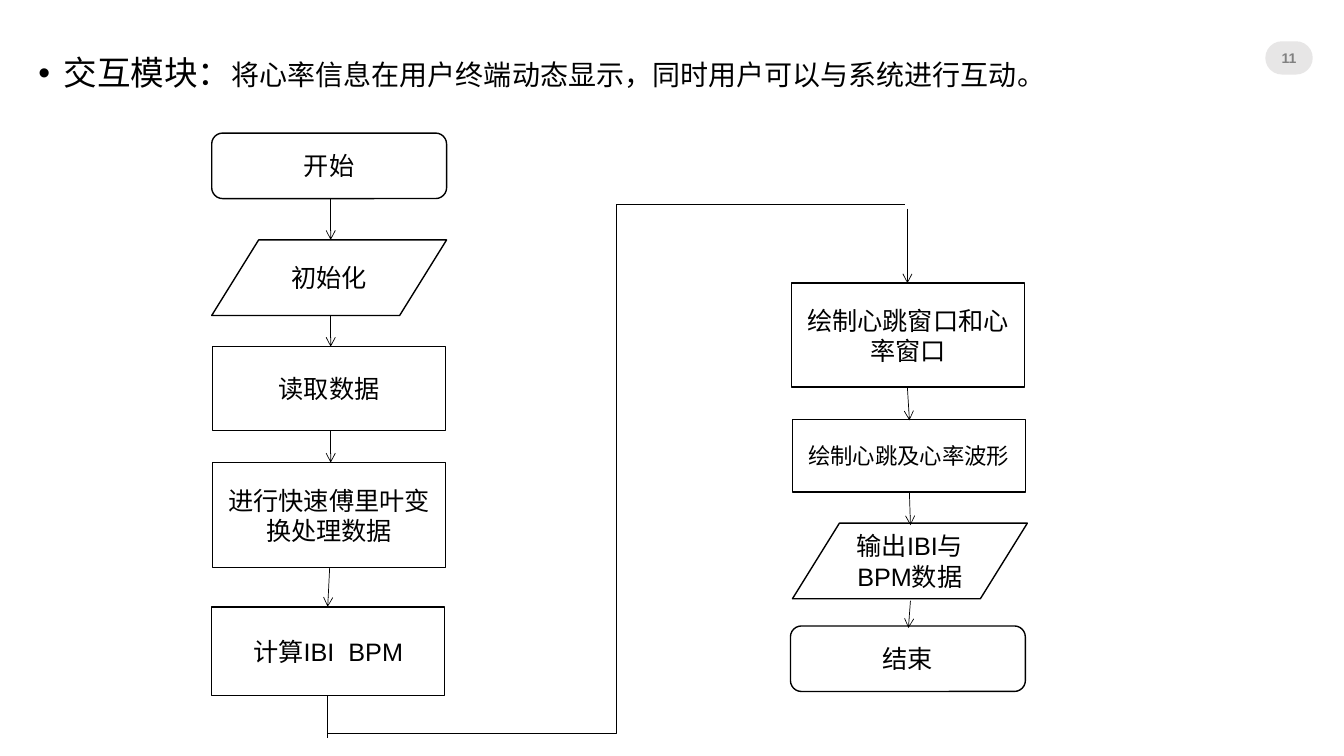
from dataclasses import dataclass

from lxml import etree
from pptx import Presentation
from pptx.dml.color import RGBColor
from pptx.enum.shapes import MSO_CONNECTOR, MSO_SHAPE
from pptx.enum.text import MSO_ANCHOR, MSO_AUTO_SIZE, PP_ALIGN
from pptx.oxml.ns import qn
from pptx.util import Inches, Pt

BLACK = RGBColor(0x00, 0x00, 0x00)
WHITE = RGBColor(0xFF, 0xFF, 0xFF)
GRAY = RGBColor(0x80, 0x80, 0x80)
PALE = RGBColor(0xE7, 0xE6, 0xE6)

ROUND = MSO_SHAPE.ROUNDED_RECTANGLE
RECT = MSO_SHAPE.RECTANGLE
PROCESS = MSO_SHAPE.FLOWCHART_PROCESS
DATA = MSO_SHAPE.FLOWCHART_DATA
STRAIGHT = MSO_CONNECTOR.STRAIGHT
ELBOW = MSO_CONNECTOR.ELBOW
CENTER = PP_ALIGN.CENTER
MIDDLE = MSO_ANCHOR.MIDDLE


@dataclass
class Step:
    text: str
    kind: int
    left: float
    top: float
    width: float
    height: float
    size: int = 18


@dataclass
class Link:
    x1: float
    y1: float
    x2: float
    y2: float
    kind: int = STRAIGHT
    arrow: bool = True


STEPS = [
    Step("开始", ROUND, 2.1, 1.32, 2.33, 0.65),
    Step("初始化", DATA, 2.1, 2.38, 2.33, 0.75),
    Step("读取数据", RECT, 2.11, 3.44, 2.31, 0.83),
    Step("进行快速傅里叶变换处理数据", RECT, 2.11, 4.59, 2.31, 1.04),
    Step("计算IBI  BPM", PROCESS, 2.1, 6.02, 2.31, 0.88),
    Step("绘制心跳窗口和心率窗口", RECT, 7.85, 2.81, 2.31, 1.03),
    Step("绘制心跳及心率波形", RECT, 7.86, 4.16, 2.31, 0.72, 16),
    Step("输出IBI与BPM数据", DATA, 7.86, 5.19, 2.33, 0.75),
    Step("结束", ROUND, 7.84, 6.21, 2.33, 0.65),
]

LINKS = [
    Link(3.28, 1.97, 3.28, 2.38),
    Link(3.28, 3.13, 3.28, 3.44),
    Link(3.28, 4.27, 3.28, 4.59),
    Link(3.27, 5.63, 3.25, 6.02),
    Link(9, 3.85, 9.02, 4.17),
    Link(9.02, 4.89, 9.03, 5.21),
    Link(9.03, 5.96, 9.01, 6.23),
    Link(3.25, 6.9, 3.25, 7.32, arrow=False),
    Link(3.25, 7.28, 8.98, 2.03, ELBOW, arrow=False),
    Link(9, 2.07, 9, 2.81),
]


def apply(target, **formats) -> None:
    """Set each given format value as an attribute of the target."""
    for name, value in formats.items():
        setattr(target, name, value)


def add_run(p, text: str, size: float, color: RGBColor = BLACK, bold: bool = False) -> None:
    r = p.add_run()
    r.text = text
    apply(r.font, name="Arial", size=Pt(size), bold=bold)
    r.font.color.rgb = color


def add_box(slide, step: Step, fill: RGBColor):
    sp = slide.shapes.add_shape(
        step.kind, *map(Inches, (step.left, step.top, step.width, step.height)))
    sp.shadow.inherit = False
    sp.fill.solid()
    sp.fill.fore_color.rgb = fill
    apply(sp.text_frame, word_wrap=True, vertical_anchor=MIDDLE)
    sp.text_frame.paragraphs[0].alignment = CENTER
    return sp


def add_step(slide, step: Step) -> None:
    sp = add_box(slide, step, WHITE)
    sp.line.color.rgb = BLACK
    sp.line.width = Pt(1)
    add_run(sp.text_frame.paragraphs[0], step.text, step.size)


def add_link(slide, link: Link) -> None:
    cx = slide.shapes.add_connector(
        link.kind, *map(Inches, (link.x1, link.y1, link.x2, link.y2)))
    cx.line.color.rgb = BLACK
    cx.line.width = Pt(0.5)
    sp_pr = cx._element.spPr
    if link.arrow:
        etree.SubElement(sp_pr.find(qn("a:ln")), qn("a:tailEnd"), type="arrow")
    etree.SubElement(sp_pr, qn("a:effectLst"))


def add_page_number(slide, number: str) -> None:
    sp = add_box(slide, Step(number, ROUND, 12.55, 0.41, 0.47, 0.33), PALE)
    sp.adjustments[0] = 0.5
    sp.line.fill.background()
    tf = sp.text_frame
    apply(tf, margin_left=0, margin_right=0, margin_top=0, margin_bottom=0)
    add_run(tf.paragraphs[0], number, 10, GRAY, bold=True)


def add_heading(slide) -> None:
    """Fill the body placeholder with the bulleted module summary."""
    body = slide.placeholders[1]
    apply(body, left=Inches(0.28), top=Inches(0.51),
          width=Inches(11.33), height=Inches(0.46))
    tf = body.text_frame
    apply(tf, word_wrap=True, auto_size=MSO_AUTO_SIZE.NONE,
          vertical_anchor=MSO_ANCHOR.TOP)
    p = tf.paragraphs[0]
    apply(p, line_spacing=0.9, space_before=Pt(10), alignment=PP_ALIGN.LEFT)
    p_pr = p._p.get_or_add_pPr()
    p_pr.set("marL", str(Inches(0.25)))
    p_pr.set("indent", str(-Inches(0.25)))
    etree.SubElement(p_pr, qn("a:buFont"), typeface="Arial")
    etree.SubElement(p_pr, qn("a:buChar"), char="•")
    add_run(p, "交互模块：", 24)
    add_run(p, "将心率信息在用户终端动态显示，同时用户可以与系统进行互动。", 20)


def main() -> None:
    prs = Presentation()
    apply(prs, slide_width=Inches(13.33), slide_height=Inches(7.5))
    slide = prs.slides.add_slide(prs.slide_layouts[1])
    title = slide.shapes.title._element
    title.getparent().remove(title)

    add_page_number(slide, "11")
    add_heading(slide)
    for step in STEPS:
        add_step(slide, step)
    for link in LINKS:
        add_link(slide, link)
    prs.save("out.pptx")


if __name__ == "__main__":
    main()
